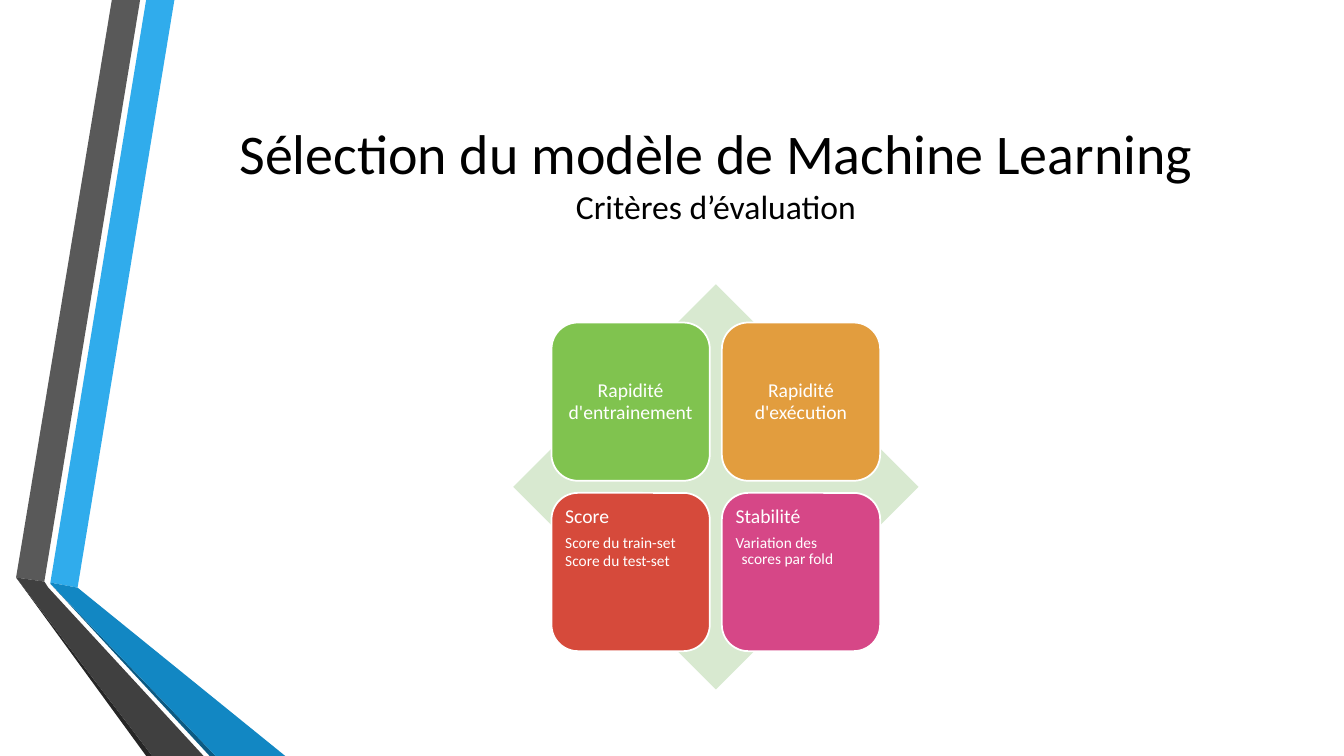
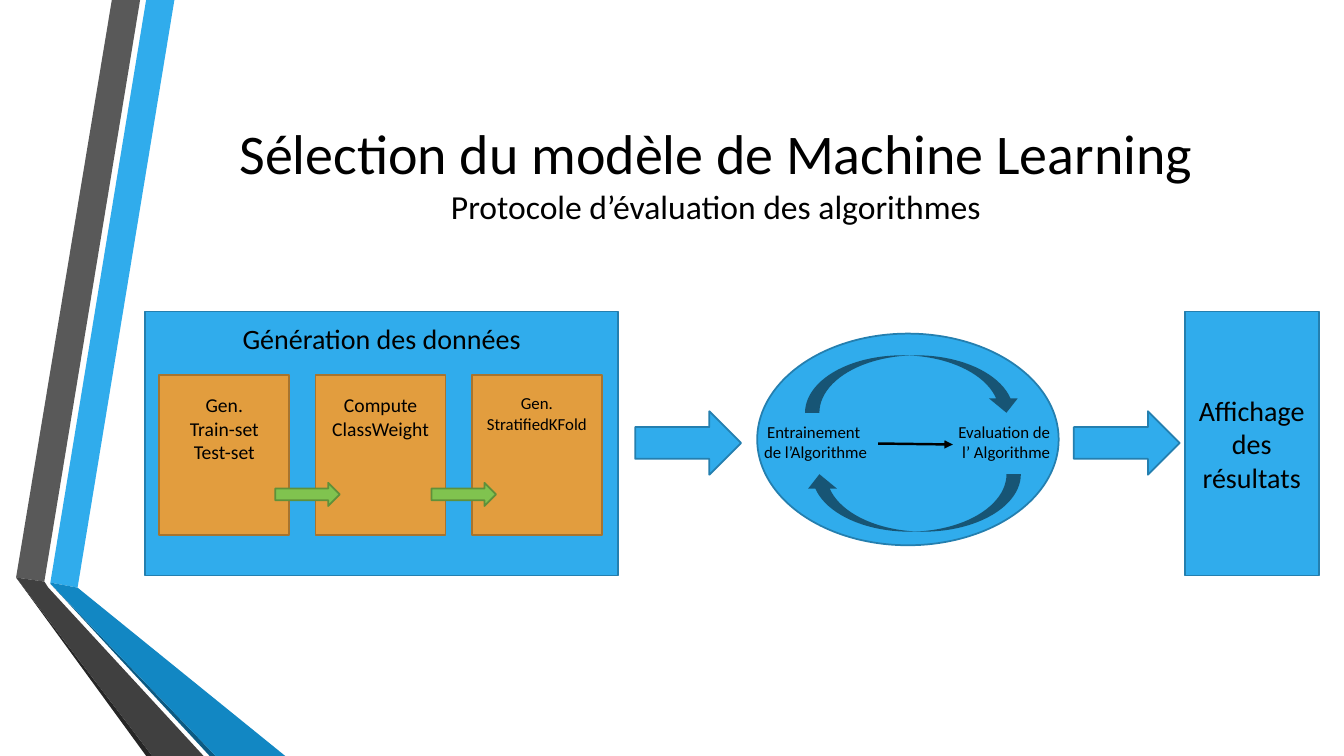
import pptx
import pptx.util
import pptx.dml.color
import pptx.enum.shapes
import pptx.enum.text
import pptx.oxml.ns
from lxml import etree

Inches, Pt = pptx.util.Inches, pptx.util.Pt
SHAPE = pptx.enum.shapes.MSO_SHAPE
ALIGN = pptx.enum.text.PP_ALIGN
ANCHOR = pptx.enum.text.MSO_ANCHOR
qn = pptx.oxml.ns.qn

FONT = "Calibri"
C = {
    "black": "000000", "white": "FFFFFF", "blue": "30ACEC", "blue_line": "247FAF",
    "blue_dark": "1287C3", "blue_deep": "0C5A82", "grey": "595959",
    "grey_dark": "404040", "grey_deep": "262626", "pale": "D8E9D0",
    "green": "80C34F", "green_line": "5F903A", "orange": "E29D3E",
    "orange_line": "A7742E", "red": "D64A3B", "pink": "D64787",
}

# Content
TITLE = "Sélection du modèle de Machine Learning"
SUBTITLES = ["Critères d’évaluation", "Protocole d’évaluation des algorithmes"]
CRITERIA = [  # colour, heading, details
    ("green", "Rapidité d'entrainement", []),
    ("orange", "Rapidité d'exécution", []),
    ("red", "Score", ["Score du train-set", "Score du test-set"]),
    ("pink", "Stabilité", ["Variation des \nscores par fold"]),
]
DATA_HEADING = "Génération des données"
DATA_STEPS = [("Gen.\nTrain-set\nTest-set", 14), ("Compute\nClassWeight", 14),
              ("Gen.\nStratifiedKFold", 12)]
LOOP_LABELS = [("Entrainement \nde l’Algorithme", 7.01, 2.16),
               ("Evaluation de \nl’ Algorithme", 9.1, 1.76)]
RESULT = "Affichage\ndes\nrésultats"

# Ribbon shared by both slides
RIBBON = [
    ("blue", [(0.5, 5.78), (0.77, 5.83), (1.73, 0), (1.45, 0)]),
    ("grey", [(1.39, 0), (1.11, 0), (0.16, 5.73), (0.44, 5.77)]),
    ("grey_deep", [(0.16, 5.73), (1.45, 7.5), (1.51, 7.5)]),
    ("blue_deep", [(0.5, 5.79), (2.08, 7.5), (2.14, 7.5)]),
    ("blue_dark", [(0.5, 5.79), (2.14, 7.5), (2.83, 7.5), (0.77, 5.83), (0.5, 5.78)]),
    ("grey_dark", [(2.02, 7.5), (0.48, 5.83), (0.44, 5.77), (0.16, 5.73), (1.51, 7.5)]),
]


def rgb(name):
    return pptx.dml.color.RGBColor.from_string(C[name])


def paint(sp, fill, line=None):
    sp.shadow.inherit = False
    sp.fill.solid()
    sp.fill.fore_color.rgb = rgb(fill)
    if line:
        sp.line.color.rgb = rgb(line)
        sp.line.width = Pt(1.25)
    else:
        sp.line.fill.background()


def add_shape(s, kind, at, fill, line=None):
    sp = s.shapes.add_shape(kind, *map(Inches, at))
    paint(sp, fill, line)
    return sp


def write(sp, paragraphs, color="black", anchor=ANCHOR.TOP, inset=(0.1, 0.05)):
    """Fill a shape with (text, size, paragraph format) items."""
    tf = sp.text_frame
    side, top = map(Inches, inset)
    frame = {"word_wrap": True, "vertical_anchor": anchor, "margin_left": side,
             "margin_right": side, "margin_top": top, "margin_bottom": Inches(0.05)}
    for key, value in frame.items():
        setattr(tf, key, value)
    for i, (text, size, fmt) in enumerate(paragraphs):
        p = tf.add_paragraph() if i else tf.paragraphs[0]
        p.text = text
        for key, value in {"alignment": ALIGN.CENTER, **fmt}.items():
            setattr(p, key, value)
        for r in p.runs:
            for key, value in {"name": FONT, "size": Pt(size)}.items():
                setattr(r.font, key, value)
            r.font.color.rgb = rgb(color)
        # Line breaks keep the size of their text
        for br in p._p.findall(qn("a:br")):
            etree.SubElement(br, qn("a:rPr"), sz=str(size * 100))


def add_text(s, at, paragraphs, **options):
    write(s.shapes.add_textbox(*map(Inches, at)), paragraphs, **options)


def new_slide(prs, subtitle):
    s = prs.slides.add_slide(prs.slide_layouts[6])
    for color, points in RIBBON:
        start, *rest = [(Inches(x), Inches(y)) for x, y in points]
        builder = s.shapes.build_freeform(*start)
        builder.add_line_segments(rest, close=True)
        paint(builder.convert_to_shape(), color)
    add_text(s, (1.62, 0.75, 10.96, 1.92), [(TITLE, 40, {}), (subtitle, 24, {})],
             anchor=ANCHOR.MIDDLE)
    return s


def criteria_slide(prs):
    s = new_slide(prs, SUBTITLES[0])
    add_shape(s, SHAPE.DIAMOND, (5.09, 2.82, 4.02, 4.02), "pale")
    side, pitch = 1.57, 1.69
    for i, (color, heading, details) in enumerate(CRITERIA):
        row, col = divmod(i, 2)
        sp = add_shape(s, SHAPE.ROUNDED_RECTANGLE,
                       (5.47 + col * pitch, 3.2 + row * pitch, side, side), color, "white")
        align = ALIGN.LEFT if details else ALIGN.CENTER
        fmt = {"alignment": align, "line_spacing": 0.9}
        paragraphs = [(heading, 14, {**fmt, "space_after": Pt(5)})]
        paragraphs += [(d, 11, {**fmt, "space_after": Pt(1.5)}) for d in details]
        write(sp, paragraphs, "white", ANCHOR.TOP if details else ANCHOR.MIDDLE,
              inset=(0.06, 0.06))
        # Hanging indent of the details
        for p in sp.text_frame.paragraphs[1:]:
            pPr = p._p.get_or_add_pPr()
            pPr.set("marL", str(Inches(0.06)))
            pPr.set("indent", str(-Inches(0.06)))


def protocol_slide(prs):
    s = new_slide(prs, SUBTITLES[1])

    # Data generation
    panel = add_shape(s, SHAPE.RECTANGLE, (1.44, 3.09, 4.69, 2.62), "blue", "blue_line")
    write(panel, [(DATA_HEADING, 20, {})], inset=(0.1, 0.1))
    pitch = 1.55
    for i, (text, size) in enumerate(DATA_STEPS):
        sp = add_shape(s, SHAPE.RECTANGLE, (1.58 + i * pitch, 3.72, 1.29, 1.59),
                       "orange", "orange_line")
        write(sp, [(text, size, {})], inset=(0.1, 0.18))
    for i in range(len(DATA_STEPS) - 1):
        add_shape(s, SHAPE.RIGHT_ARROW, (2.73 + i * pitch, 4.79, 0.64, 0.23),
                  "green", "green_line")

    # Arrows between the stages
    for x in (6.3, 10.65):
        add_shape(s, SHAPE.RIGHT_ARROW, (x, 4.08, 1.05, 0.63), "blue", "blue_line")

    # Training and evaluation loop
    add_shape(s, SHAPE.OVAL, (7.51, 3.31, 2.99, 2.1), "blue", "blue_line")
    for text, x, width in LOOP_LABELS:
        add_text(s, (x, 4.13, width, 0.5), [(text, 12, {})])
    cx = s.shapes.add_connector(pptx.enum.shapes.MSO_CONNECTOR.STRAIGHT,
                                *map(Inches, (8.71, 4.4, 9.45, 4.41)))
    cx.line.color.rgb = rgb("black")
    cx.line.width = Pt(1.75)
    etree.SubElement(cx.line._get_or_add_ln(), qn("a:tailEnd"), type="triangle")
    etree.SubElement(cx._element.spPr, qn("a:effectLst"))
    for y, flip in ((2.74, "flipH"), (3.92, "flipV")):
        sp = add_shape(s, SHAPE.CURVED_RIGHT_ARROW, (8.77, y, 0.57, 2.14), "black")
        sp.rotation = 270
        sp._element.spPr.xfrm.set(flip, "1")
        color = sp._element.spPr.find(qn("a:solidFill")).find(qn("a:srgbClr"))
        etree.SubElement(color, qn("a:alpha"), val="50000")

    # Results
    sp = add_shape(s, SHAPE.RECTANGLE, (11.75, 3.09, 1.33, 2.62), "blue", "blue_line")
    write(sp, [(RESULT, 20, {})], anchor=ANCHOR.MIDDLE, inset=(0.05, 0.05))


def main():
    prs = pptx.Presentation()
    prs.slide_width, prs.slide_height = Inches(13.33), Inches(7.5)
    criteria_slide(prs)
    protocol_slide(prs)
    prs.save("out.pptx")


if __name__ == "__main__":
    main()
